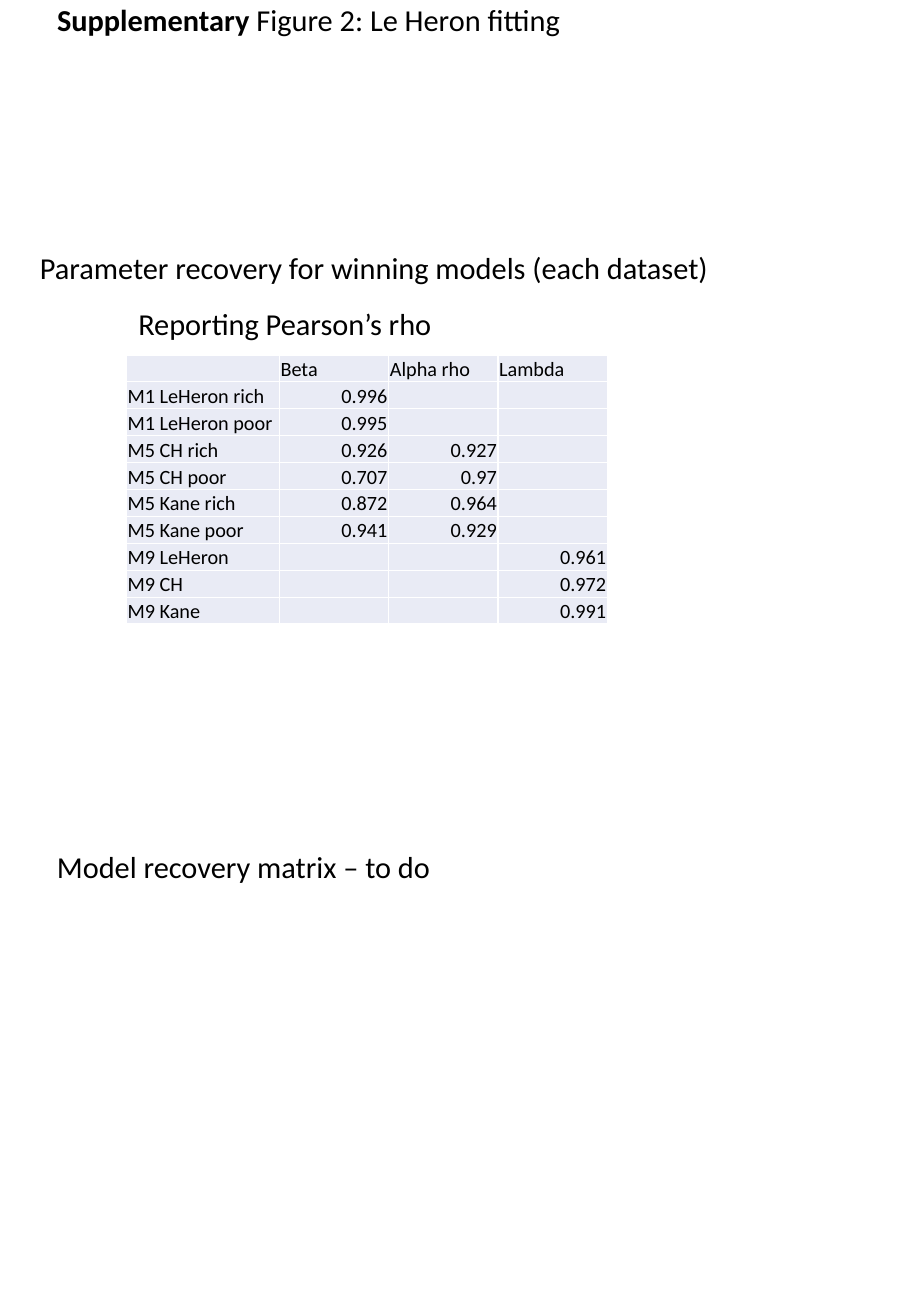
from dataclasses import dataclass

from lxml import etree
from pptx import Presentation
from pptx.dml.color import RGBColor
from pptx.enum.text import MSO_ANCHOR, MSO_AUTO_SIZE, PP_ALIGN
from pptx.oxml.ns import qn
from pptx.slide import Slide
from pptx.table import _Cell
from pptx.text.text import Font, TextFrame
from pptx.util import Inches, Length, Pt

LEFT, RIGHT = PP_ALIGN.LEFT, PP_ALIGN.RIGHT
TOP, BOTTOM = MSO_ANCHOR.TOP, MSO_ANCHOR.BOTTOM
FIT_SHAPE = MSO_AUTO_SIZE.SHAPE_TO_FIT_TEXT

BLACK = RGBColor(0x00, 0x00, 0x00)
WHITE = RGBColor(0xFF, 0xFF, 0xFF)
PALE_BLUE = RGBColor(0xE9, 0xEB, 0xF5)

TYPEFACE = "Calibri"
HEADING_SIZE, CELL_SIZE = 18, 12

# Page grid: 75 columns by 108.3 rows
PAGE_WIDTH, PAGE_HEIGHT = Inches(7.5), Inches(10.83)
COLUMN, ROW = PAGE_WIDTH / 75, PAGE_HEIGHT / 108.3
HEADING_ROWS = 4


@dataclass(frozen=True)
class Heading:
    text: str
    column: float
    row: float
    columns: float


FIGURE_TITLE = Heading(" Figure 2: Le Heron fitting", 3.7, -0.4, 48)
SECTION_HEADINGS = (
    Heading("Model recovery matrix – to do", 3.7, 69.3, 34.3),
    Heading("Parameter recovery for winning models (each dataset)", 2.3, 20, 58.3),
    Heading("Reporting Pearson’s rho", 10.4, 24.6, 26.4),
)

# Parameter recovery: model, then rho for beta, alpha and lambda
RECOVERY_ROWS = (
    ("", "Beta", "Alpha rho", "Lambda"),
    ("M1 LeHeron rich", "0.996", "", ""),
    ("M1 LeHeron poor", "0.995", "", ""),
    ("M5 CH rich", "0.926", "0.927", ""),
    ("M5 CH poor", "0.707", "0.97", ""),
    ("M5 Kane rich", "0.872", "0.964", ""),
    ("M5 Kane poor", "0.941", "0.929", ""),
    ("M9 LeHeron", "", "", "0.961"),
    ("M9 CH", "", "", "0.972"),
    ("M9 Kane", "", "", "0.991"),
)
RECOVERY_COLUMN, RECOVERY_ROW = 10.4, 29.2
RECOVERY_WIDTHS = (12.6, 9, 9, 9)
RECOVERY_ROW_HEIGHT = 2.22


def across(columns: float) -> Length:
    return Length(round(columns * COLUMN))


def down(rows: float) -> Length:
    return Length(round(rows * ROW))


def style_font(font: Font, size: float, bold: bool = False) -> None:
    font.name, font.size, font.bold = TYPEFACE, Pt(size), bold
    font.color.rgb = BLACK


def style_heading(frame: TextFrame, wrap: bool) -> None:
    frame.word_wrap = wrap
    frame.auto_size = FIT_SHAPE
    frame.vertical_anchor = TOP
    paragraph = frame.paragraphs[0]
    paragraph.alignment = LEFT
    paragraph.line_spacing = 1.0
    for run in paragraph.runs:
        style_font(run.font, HEADING_SIZE)


def fill_title(slide: Slide, heading: Heading) -> None:
    title = slide.shapes.title
    title.left, title.top = across(heading.column), down(heading.row)
    title.width, title.height = across(heading.columns), down(HEADING_ROWS)
    paragraph = title.text_frame.paragraphs[0]
    paragraph.text = "Supplementary"
    paragraph.add_run().text = heading.text
    style_heading(title.text_frame, wrap=True)
    paragraph.runs[0].font.bold = True


def add_heading(slide: Slide, heading: Heading) -> None:
    box = slide.shapes.add_textbox(across(heading.column), down(heading.row),
                                   across(heading.columns), down(HEADING_ROWS))
    box.text_frame.text = heading.text
    style_heading(box.text_frame, wrap=False)


def add_borders(cell: _Cell) -> None:
    properties = cell._tc.get_or_add_tcPr()
    for side in ("a:lnL", "a:lnR", "a:lnT", "a:lnB"):
        line = etree.SubElement(properties, qn(side), w=str(Pt(1)))
        fill = etree.SubElement(line, qn("a:solidFill"))
        etree.SubElement(fill, qn("a:srgbClr"), val=str(WHITE))


def fill_cell(cell: _Cell, text: str, alignment: PP_ALIGN) -> None:
    add_borders(cell)
    cell.fill.solid()
    cell.fill.fore_color.rgb = PALE_BLUE
    cell.vertical_anchor = BOTTOM
    cell.margin_left = cell.margin_right = cell.margin_top = Inches(0.01)
    cell.margin_bottom = 0
    paragraph = cell.text_frame.paragraphs[0]
    paragraph.alignment = alignment
    if text:
        paragraph.text = text
        style_font(paragraph.runs[0].font, CELL_SIZE)
    else:
        # Keeps an empty cell from stretching its row
        etree.SubElement(paragraph._p, qn("a:endParaRPr"), sz=str(CELL_SIZE * 100))


def add_recovery_table(slide: Slide) -> None:
    frame = slide.shapes.add_table(
        len(RECOVERY_ROWS), len(RECOVERY_WIDTHS),
        across(RECOVERY_COLUMN), down(RECOVERY_ROW),
        across(sum(RECOVERY_WIDTHS)), down(RECOVERY_ROW_HEIGHT * len(RECOVERY_ROWS)))
    table = frame.table
    table.first_row = table.horz_banding = False
    for column, width in zip(table.columns, RECOVERY_WIDTHS):
        column.width = across(width)
    for r, values in enumerate(RECOVERY_ROWS):
        table.rows[r].height = down(RECOVERY_ROW_HEIGHT)
        for c, value in enumerate(values):
            fill_cell(table.cell(r, c), value, RIGHT if r and c else LEFT)


def main() -> None:
    presentation = Presentation()
    presentation.slide_width, presentation.slide_height = PAGE_WIDTH, PAGE_HEIGHT
    title_only = presentation.slide_layouts[5]
    slide = presentation.slides.add_slide(title_only)
    fill_title(slide, FIGURE_TITLE)
    for heading in SECTION_HEADINGS:
        add_heading(slide, heading)
    add_recovery_table(slide)
    presentation.save("out.pptx")


if __name__ == "__main__":
    main()
